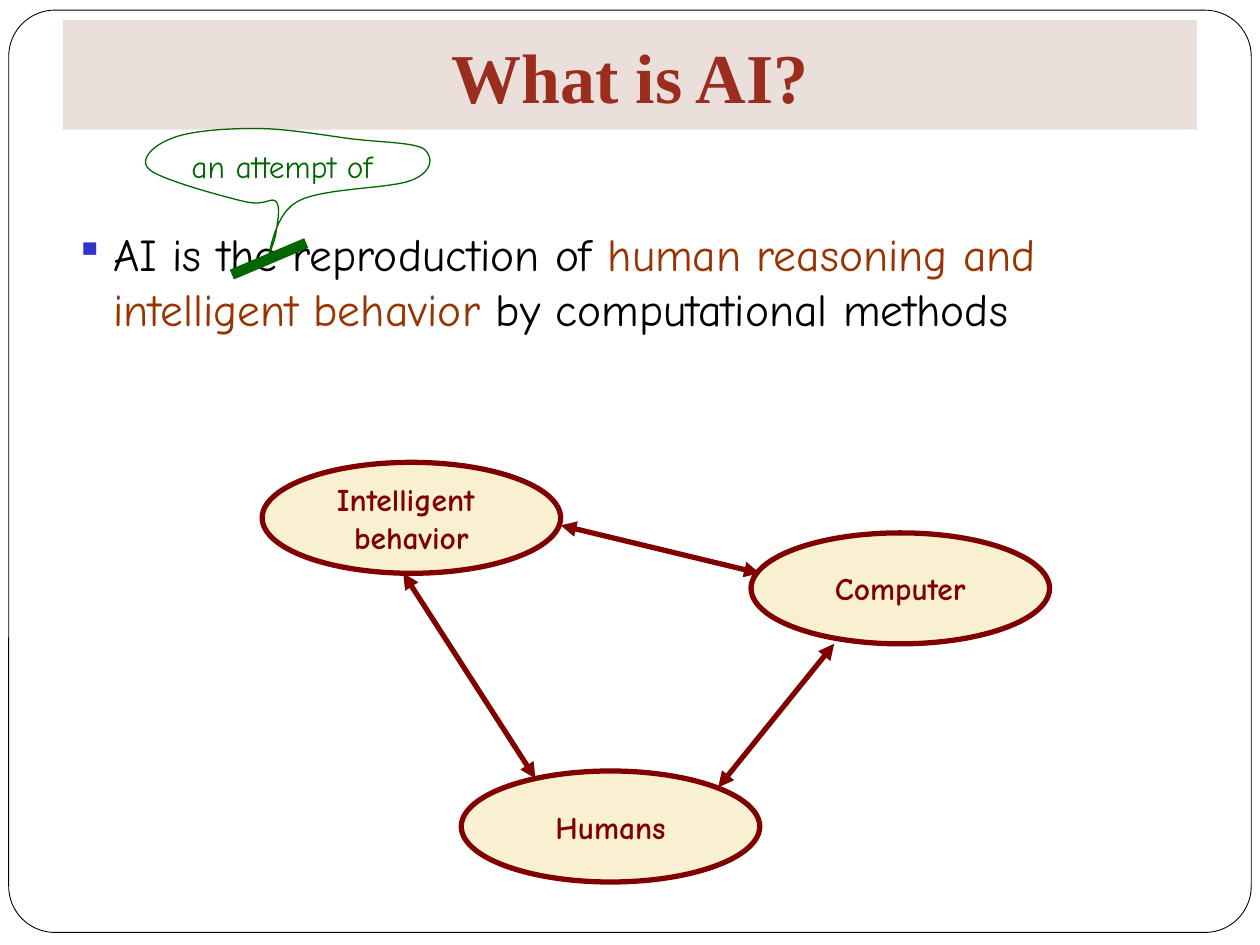
from lxml import etree
from pptx import Presentation
from pptx.dml.color import RGBColor
from pptx.enum import shapes, text
from pptx.oxml import ns
from pptx.util import Pt

WHITE = RGBColor(0xFF, 0xFF, 0xFF)
BLACK = RGBColor(0, 0, 0)
BANNER = RGBColor(0xEB, 0xDF, 0xDB)
BRICK = RGBColor(0x9B, 0x2D, 0x1F)
RUST = RGBColor(0x99, 0x33, 0x00)
GREEN = RGBColor(0x00, 0x66, 0x00)
MAROON = RGBColor(0x80, 0x00, 0x00)
CREAM = RGBColor(0xF8, 0xF0, 0xD0)
SERIF, HAND = "Times New Roman", "Comic Neue"

# Callout outline: a start, then cubic curves (two controls and an end)
BALLOON_START = (67, 0)
BALLOON_CURVES = [
    ((50.4, 0), (29.5, 1.4), (19.4, 5.8)),
    ((9.4, 9.4), (0, 18), (7.2, 23.8)),
    ((14.4, 29.5), (49, 38.9), (61.2, 41.8)),
    ((73.4, 44.6), (76.3, 38.9), (79.2, 41.8)),
    ((82.1, 44.6), (79.9, 54), (79.2, 59.8)),
    ((78.5, 65.5), (71.3, 80.6), (73.4, 77.8)),
    ((75.6, 74.9), (77, 49.7), (91.4, 41.8)),
    ((105.1, 33.8), (145.4, 34.6), (157, 29.5)),
    ((169.2, 24.5), (169.2, 15.8), (163.4, 11.5)),
    ((157, 7.9), (137.5, 7.9), (121, 5.8)),
    ((105.1, 3.6), (84.2, 0), BALLOON_START),
]


def set_font(font, name, size, color, bold=False):
    font.name, font.size, font.bold = name, Pt(size), bold
    font.color.rgb = color


def style(shape, fill=None, line=None, width=0):
    shape.shadow.inherit = False
    if fill is None:
        shape.fill.background()
    else:
        shape.fill.solid()
        shape.fill.fore_color.rgb = fill
    if line is None:
        shape.line.fill.background()
    else:
        shape.line.color.rgb = line
        shape.line.width = Pt(width)


def add_line(slide, start, end, color, width, arrows=False):
    line = slide.shapes.add_connector(
        shapes.MSO_CONNECTOR.STRAIGHT, *(Pt(v) for v in (*start, *end)))
    line.line.color.rgb = color
    line.line.width = Pt(width)
    if arrows:
        ln = line.line._get_or_add_ln()
        for tag in ("a:headEnd", "a:tailEnd"):
            etree.SubElement(ln, ns.qn(tag), type="triangle")
    etree.SubElement(line._element.spPr, ns.qn("a:effectLst"))


def add_frame(slide, left, top, width, height):
    frame = slide.shapes.add_shape(
        shapes.MSO_SHAPE.ROUNDED_RECTANGLE,
        Pt(left), Pt(top), Pt(width), Pt(height))
    frame.adjustments[0] = 0.05
    style(frame, WHITE, BLACK, 0.5)


def add_title(slide, left, top, width, height):
    title = slide.shapes.add_shape(
        shapes.MSO_SHAPE.RECTANGLE, Pt(left), Pt(top), Pt(width), Pt(height))
    style(title, BANNER)
    frame = title.text_frame
    frame.vertical_anchor = text.MSO_ANCHOR.BOTTOM
    frame.margin_bottom = Pt(7.2)
    frame.text = "What is AI?"
    paragraph = frame.paragraphs[0]
    paragraph.alignment = text.PP_ALIGN.CENTER
    set_font(paragraph.font, SERIF, 40, BRICK, True)


def add_definition(slide, left, top, width, height):
    body = slide.shapes.add_textbox(Pt(left), Pt(top), Pt(width), Pt(height))
    body.text_frame.word_wrap = True
    paragraph = body.text_frame.paragraphs[0]
    p_pr = paragraph._p.get_or_add_pPr()
    p_pr.set("marL", str(Pt(21.6)))
    p_pr.set("indent", str(Pt(-21.6)))
    bullet_color = etree.SubElement(p_pr, ns.qn("a:buClr"))
    etree.SubElement(bullet_color, ns.qn("a:srgbClr"), val="3333CC")
    etree.SubElement(p_pr, ns.qn("a:buSzPct"), val="85000")
    etree.SubElement(p_pr, ns.qn("a:buChar"), char="▪")
    for words, color in (
            ("AI is the reproduction of ", BLACK),
            ("human reasoning and intelligent behavior ", RUST),
            ("by computational methods", BLACK)):
        run = paragraph.add_run()
        run.text = words
        set_font(run.font, HAND, 26, color)


def add_triangle(slide, left, top):
    """Three linked ellipses."""
    width, height = 170.6, 63.4
    for x, y, label in (
            (0, 0, "Intelligent \nbehavior"),
            (113.8, 176.4, "Humans"),
            (279.4, 40.3, "Computer")):
        node = slide.shapes.add_shape(
            shapes.MSO_SHAPE.OVAL,
            Pt(left + x), Pt(top + y), Pt(width), Pt(height))
        style(node, CREAM, MAROON, 3)
        frame = node.text_frame
        frame.word_wrap = False
        frame.vertical_anchor = text.MSO_ANCHOR.MIDDLE
        frame.text = label
        for paragraph in frame.paragraphs:
            paragraph.alignment = text.PP_ALIGN.CENTER
            set_font(paragraph.font, HAND, 18, MAROON, True)
    for (x1, y1), (x2, y2) in (
            ((80.6, 63.4), (156.2, 180.7)),
            ((260.6, 185.8), (326.9, 103.7)),
            ((170.6, 36), (284.4, 63.4))):
        add_line(slide, (left + x1, top + y1), (left + x2, top + y2),
                 MAROON, 3, arrows=True)


def curve_points(start, curves, steps=12):
    points = []
    for c1, c2, end in curves:
        for step in range(1, steps + 1):
            t = step / steps
            s = 1 - t
            points.append(tuple(
                s**3 * a + 3 * s * s * t * b + 3 * s * t * t * c + t**3 * d
                for a, b, c, d in zip(start, c1, c2, end)))
        start = end
    return points


def add_callout(slide, left, top):
    # Inserted words
    words = slide.shapes.add_textbox(
        Pt(left + 23.8), Pt(top + 7.2), Pt(143.3), Pt(31))
    words.text_frame.word_wrap = False
    words.text_frame.text = "an attempt of"
    set_font(words.text_frame.paragraphs[0].font, HAND, 18, GREEN)

    # Balloon
    def place(point):
        return Pt(left + point[0]), Pt(top + point[1])

    builder = slide.shapes.build_freeform(*place(BALLOON_START))
    builder.add_line_segments(
        [place(p) for p in curve_points(BALLOON_START, BALLOON_CURVES)])
    style(builder.convert_to_shape(), line=GREEN, width=0.75)

    # Strike through the replaced word
    add_line(slide, (left + 54, top + 83.5), (left + 96.5, top + 65.5),
             GREEN, 6)


def main():
    deck = Presentation()
    deck.slide_width, deck.slide_height = Pt(720), Pt(540)
    slide = deck.slides.add_slide(deck.slide_layouts[6])
    add_frame(slide, 5, 5.8, 710, 527)
    add_title(slide, 36, 11.5, 648, 62.6)
    add_definition(slide, 36, 125.8, 648, 338.6)
    add_triangle(slide, 149.8, 264.2)
    add_callout(slide, 78.5, 73.4)
    deck.save("out.pptx")


if __name__ == "__main__":
    main()
